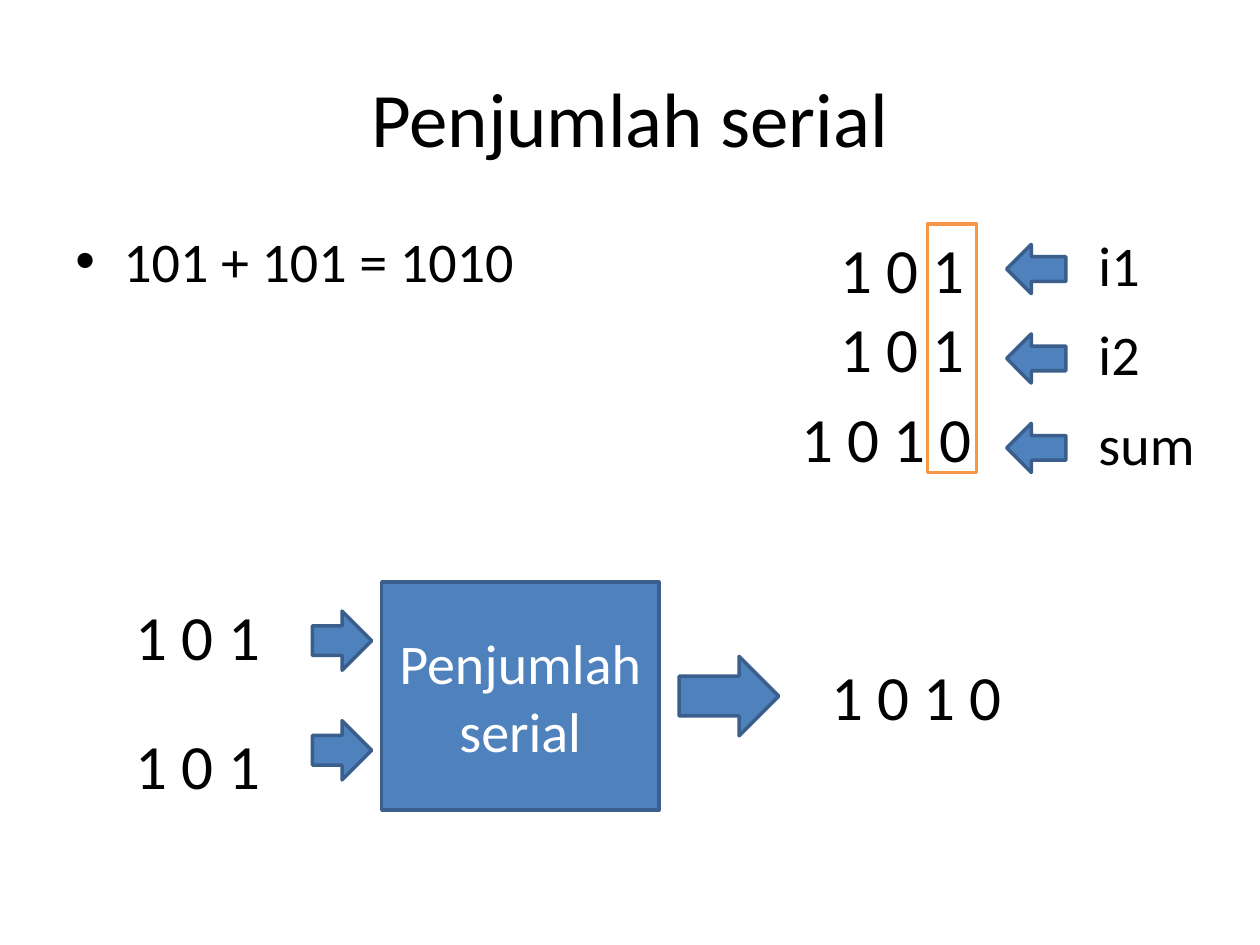
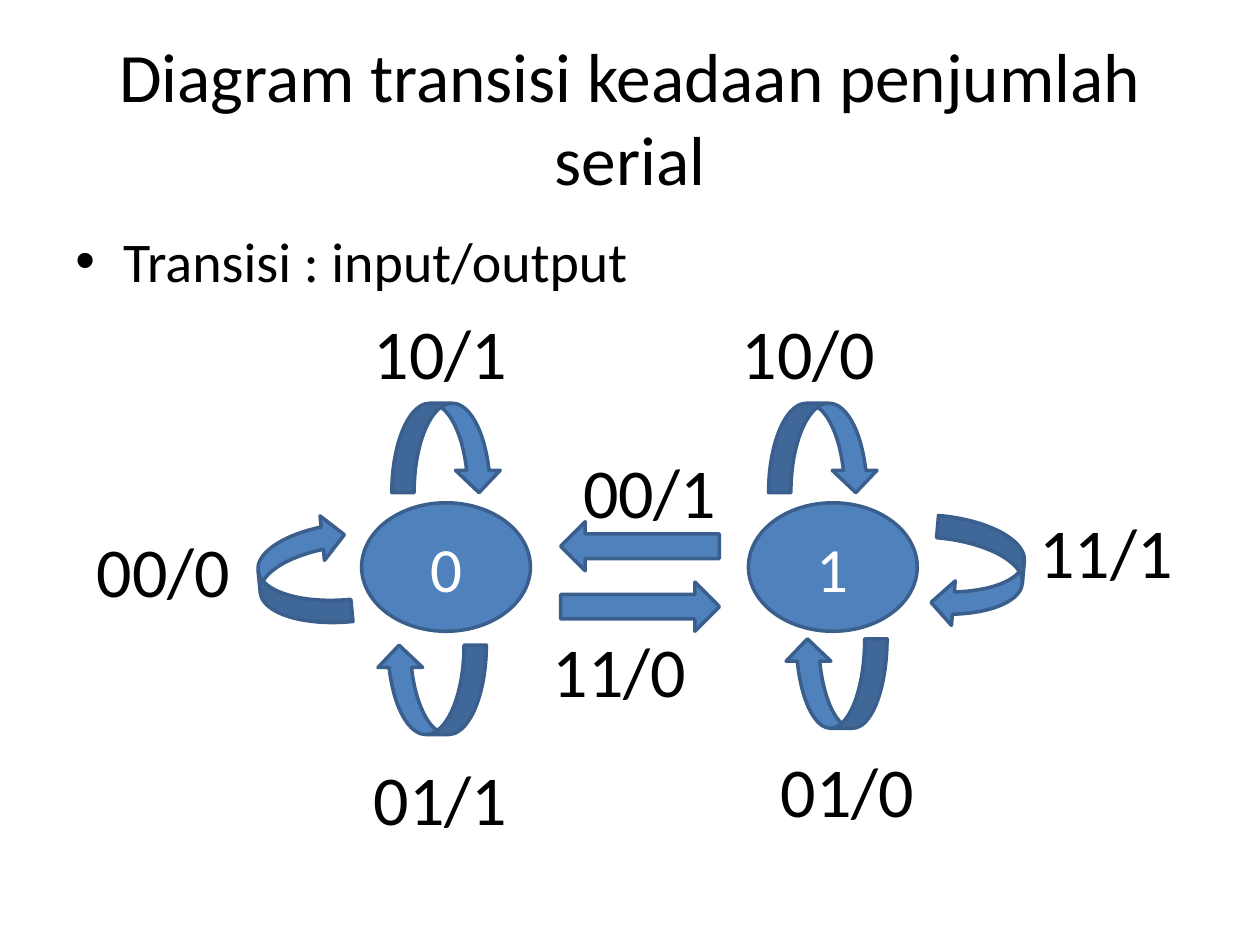
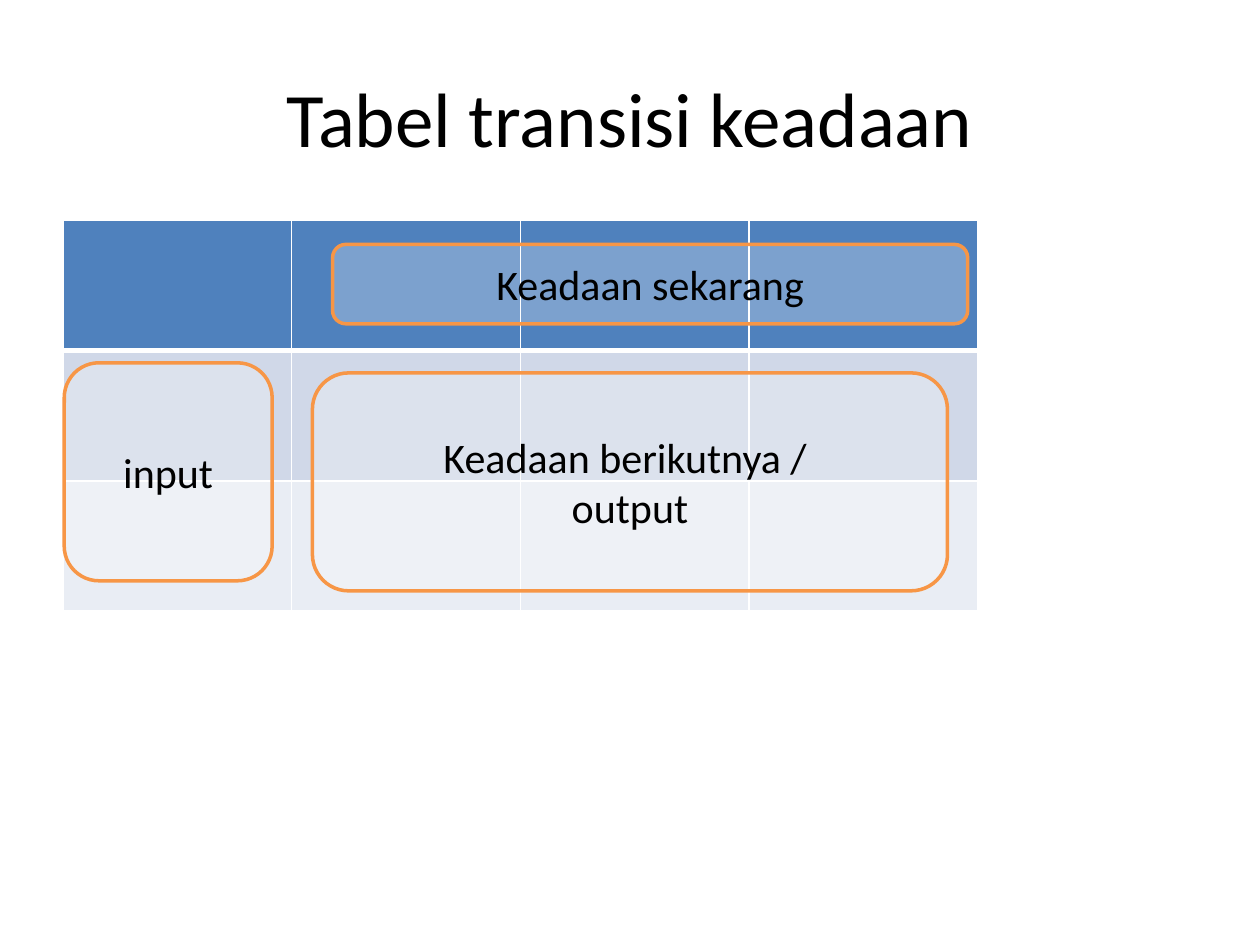
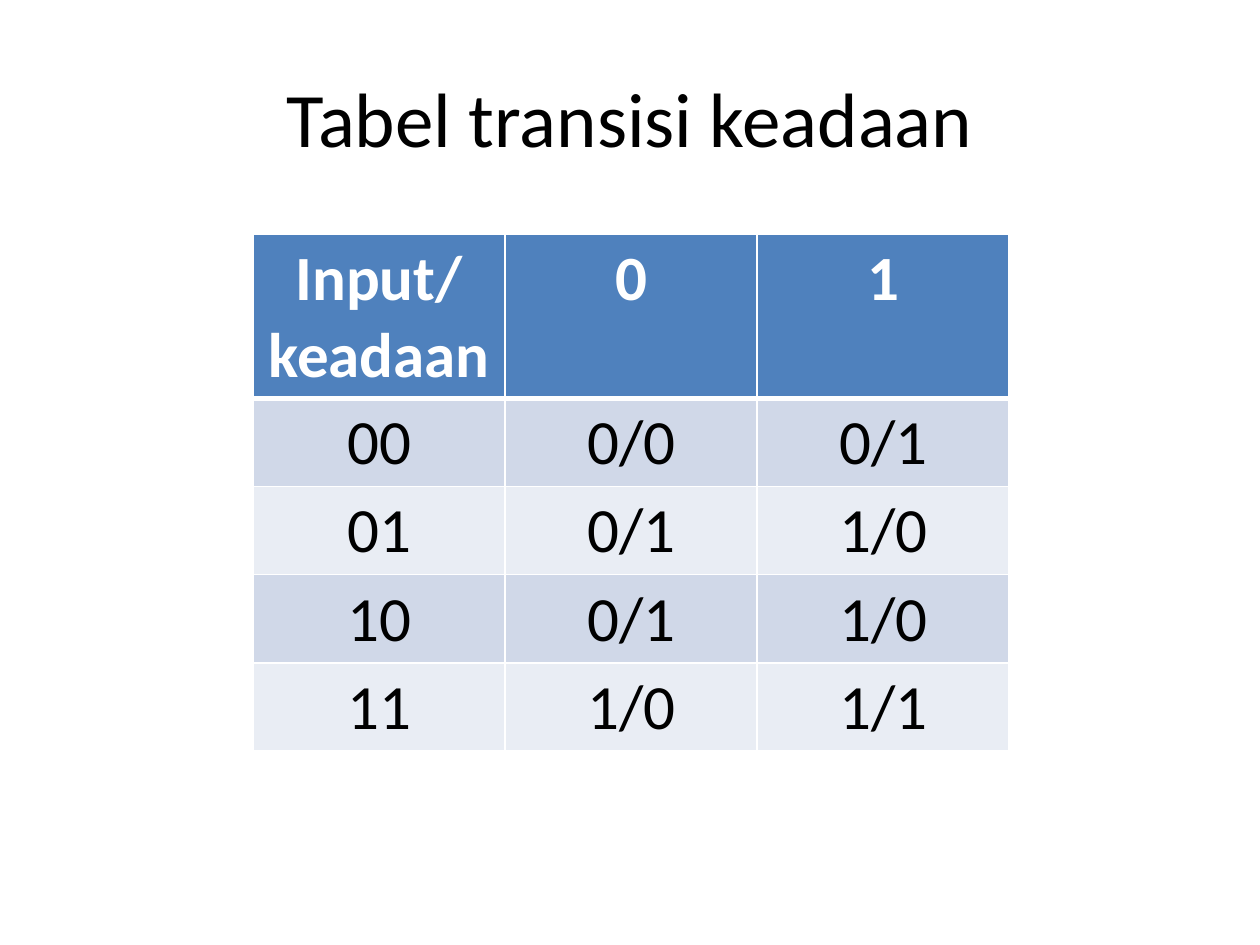
from typing import NamedTuple

from lxml.etree import SubElement
from pptx import Presentation
from pptx.dml.color import RGBColor
from pptx.enum.shapes import MSO_SHAPE
from pptx.enum.text import MSO_ANCHOR, MSO_AUTO_SIZE, PP_ALIGN
from pptx.oxml.ns import qn
from pptx.util import Inches, Pt

COLORS = {
    "ink": "000000",
    "paper": "FFFFFF",
    "blue": "4F81BD",
    "blue_edge": "3A5F8C",
    "orange": "F79646",
    "band_dark": "D0D8E8",
    "band_light": "E9EDF4",
}
FONT = "Calibri"
UNIT = Inches(0.1)
COLUMNS, ROWS = 100, 75


class Box(NamedTuple):
    left: float
    top: float
    width: float
    height: float

    def inner(self, left, top, width, height):
        return Box(self.left + left, self.top + top, width, height)

    def lengths(self):
        return [round(value * UNIT) for value in self]


PAGE = Box(0, 0, COLUMNS, ROWS)


def rgb(name):
    return RGBColor.from_string(COLORS[name])


def write(frame, text, size=36, color="ink", align=PP_ALIGN.CENTER, bold=False, bullet=False):
    for index, line in enumerate(text.split("\n")):
        para = frame.add_paragraph() if index else frame.paragraphs[0]
        para.alignment = align
        span = para.add_run()
        span.text = line
        span.font.name = FONT
        span.font.size = Pt(size)
        span.font.bold = bold
        span.font.color.rgb = rgb(color)
        if bullet:
            para.space_before = Pt(0.2 * size)
            properties = para._p.get_or_add_pPr()
            properties.set("marL", str(Inches(0.38)))
            properties.set("indent", str(-Inches(0.38)))
            SubElement(properties, qn("a:buFont"), typeface="Arial")
            SubElement(properties, qn("a:buChar"), char="•")


def add_text(page, box, text, wrap=False, anchor=MSO_ANCHOR.TOP, align=PP_ALIGN.LEFT, **style):
    frame = page.shapes.add_textbox(*box.lengths()).text_frame
    frame.word_wrap = wrap
    frame.auto_size = MSO_AUTO_SIZE.NONE if wrap else MSO_AUTO_SIZE.SHAPE_TO_FIT_TEXT
    frame.vertical_anchor = anchor
    write(frame, text, align=align, **style)


def add_figure(page, kind, box, text="", fill="blue", line="blue_edge", opacity=100, turn=0, **style):
    shape = page.shapes.add_shape(kind, *box.lengths())
    shape.shadow.inherit = False
    shape.rotation = turn
    shape.fill.solid()
    shape.fill.fore_color.rgb = rgb(fill)
    shape.line.color.rgb = rgb(line)
    shape.line.width = Pt(2)
    if opacity < 100:
        color = shape._element.spPr.find(qn("a:solidFill"))[0]
        SubElement(color, qn("a:alpha"), val=str(opacity * 1000))
    if text:
        shape.text_frame.word_wrap = True
        shape.text_frame.vertical_anchor = MSO_ANCHOR.MIDDLE
        write(shape.text_frame, text, **style)


def add_page(deck, title, size=44):
    page = deck.slides.add_slide(deck.slide_layouts[6])
    page.background.fill.solid()
    page.background.fill.fore_color.rgb = rgb("paper")
    add_text(page, PAGE.inner(5, 3, 90, 12.5), title, wrap=True, size=size,
             anchor=MSO_ANCHOR.MIDDLE, align=PP_ALIGN.CENTER)
    return page


def add_point(page, box, text):
    add_text(page, box, text, wrap=True, size=32, bullet=True)


def set_borders(cell, bottom):
    properties = cell._tc.get_or_add_tcPr()
    for index, (side, width) in enumerate(zip("LRTB", (1, 1, 1, bottom))):
        line = properties.makeelement(qn(f"a:ln{side}"), {"w": str(Pt(width))})
        fill = SubElement(line, qn("a:solidFill"))
        SubElement(fill, qn("a:srgbClr"), val=COLORS["paper"])
        properties.insert(index, line)


def add_grid(page, box, rows, heights):
    table = page.shapes.add_table(len(rows), len(rows[0]), *box.lengths()).table
    for column in table.columns:
        column.width = round(box.width * UNIT / len(rows[0]))
    for index, (values, height) in enumerate(zip(rows, heights)):
        header = index == 0
        table.rows[index].height = round(height * UNIT)
        band = "blue" if header else ("band_light", "band_dark")[index % 2]
        for cell, text in zip(table.rows[index].cells, values):
            cell.fill.solid()
            cell.fill.fore_color.rgb = rgb(band)
            set_borders(cell, 3 if header else 1)
            if text:
                write(cell.text_frame, text, color="paper" if header else "ink", bold=header)


def draw_adder(page, box):
    add_figure(page, MSO_SHAPE.RECTANGLE, box.inner(20.5, 0, 22, 18.1), "Penjumlah serial",
               size=32, color="paper")
    add_figure(page, MSO_SHAPE.RIGHT_ARROW, box.inner(44.1, 5.9, 7.9, 6.3))
    add_text(page, box.inner(55.2, 5.5, 16.8, 7.1), "1 0 1 0")
    for arrow_top, text_top in ((2.3, 0.7), (11, 11)):
        add_figure(page, MSO_SHAPE.RIGHT_ARROW, box.inner(15, arrow_top, 4.7, 4.7))
        add_text(page, box.inner(0, text_top, 13.1, 7.1), "1 0 1")


def draw_column_sum(page, box):
    pitch = 7.1
    add_figure(page, MSO_SHAPE.RECTANGLE, box.inner(11, 0, 3.9, 19.7), fill="paper", line="orange")
    for left, top, width, digits in ((3.1, 0, 13.1, "1 0 1"), (3.1, 6.3, 13.1, "1 0 1"),
                                     (0, 13.4, 16.8, "1 0 1 0")):
        add_text(page, box.inner(left, top, width, 7.1), digits)
    for index, (label, width) in enumerate((("i1", 5.3), ("i2", 5.3), ("sum", 9.7))):
        add_figure(page, MSO_SHAPE.LEFT_ARROW, box.inner(17.3, 1.6 + index * pitch, 4.7, 3.9))
        add_text(page, box.inner(23.6, index * pitch, width, 6.4), label, size=32)


def draw_states(page, box):
    for left, state in ((22, "0"), (52.7, "1")):
        add_figure(page, MSO_SHAPE.OVAL, box.inner(left, 15.8, 13.4, 10.2), state, color="paper")
    loops = ((13.8, 16.9, 8.7, 174.3), (24, 26.3, 8.7, 90), (25.2, 7.1, 8.7, 270),
             (55.1, 7.1, 8.7, 270), (56.1, 26.1, 8.1, 90), (67.4, 17.1, 8.7, 4.9))
    for left, top, height, turn in loops:
        add_figure(page, MSO_SHAPE.CURVED_LEFT_ARROW, box.inner(left, top, 7.1, height), turn=turn)
    for top, turn in ((17.3, 0), (22.1, 180)):
        add_figure(page, MSO_SHAPE.LEFT_ARROW, box.inner(37.8, top, 12.6, 3.9), turn=turn)
    labels = ((22, 0, "10/1"), (0, 17.3, "00/0"), (22, 35.4, "01/1"), (51.2, 0, "10/0"),
              (54.3, 34.7, "01/0"), (74.8, 15.8, "11/1"), (38.6, 11, "00/1"), (36.2, 25.2, "11/0"))
    for left, top, label in labels:
        add_text(page, box.inner(left, top, 12.7, 7.7), label, size=40)


def draw_table_key(page, box):
    add_grid(page, box, [[""] * 4] * 3, [box.height / 3] * 3)
    areas = ((19.8, 12.1, 50.4, 17.3, "Keadaan berikutnya / \noutput"),
             (21.4, 1.9, 50.4, 6.3, "Keadaan sekarang"),
             (0.1, 11.3, 16.5, 17.3, "input"))
    for left, top, width, height, label in areas:
        add_figure(page, MSO_SHAPE.ROUNDED_RECTANGLE, box.inner(left, top, width, height), label,
                   fill="paper", line="orange", opacity=26, size=24)


def draw_transitions(page, box):
    rows = [
        ["Input/\nkeadaan", "0", "1"],
        ["00", "0/0", "0/1"],
        ["01", "0/1", "1/0"],
        ["10", "0/1", "1/0"],
        ["11", "1/0", "1/1"],
    ]
    add_grid(page, box, rows, [13, 7, 7, 7, 7])


def main():
    deck = Presentation()
    deck.slide_width, deck.slide_height = COLUMNS * UNIT, ROWS * UNIT

    page = add_page(deck, "Penjumlah serial")
    add_point(page, PAGE.inner(5, 17.5, 44.2, 7.4), "101 + 101 = 1010")
    draw_adder(page, PAGE.inner(9.8, 46.2, 72, 18.1))
    draw_column_sum(page, PAGE.inner(62.6, 17.8, 33.3, 20.6))

    page = add_page(deck, "Diagram transisi keadaan penjumlah serial", size=39.6)
    add_point(page, PAGE.inner(5, 17.5, 90, 8.2), "Transisi : input/output")
    draw_states(page, PAGE.inner(6.7, 24.1, 87.5, 43.1))

    page = add_page(deck, "Tabel transisi keadaan")
    draw_table_key(page, PAGE.inner(5, 17.5, 72.6, 31))

    page = add_page(deck, "Tabel transisi keadaan")
    draw_transitions(page, PAGE.inner(20.1, 18.6, 60, 41))

    deck.save("out.pptx")


if __name__ == "__main__":
    main()
